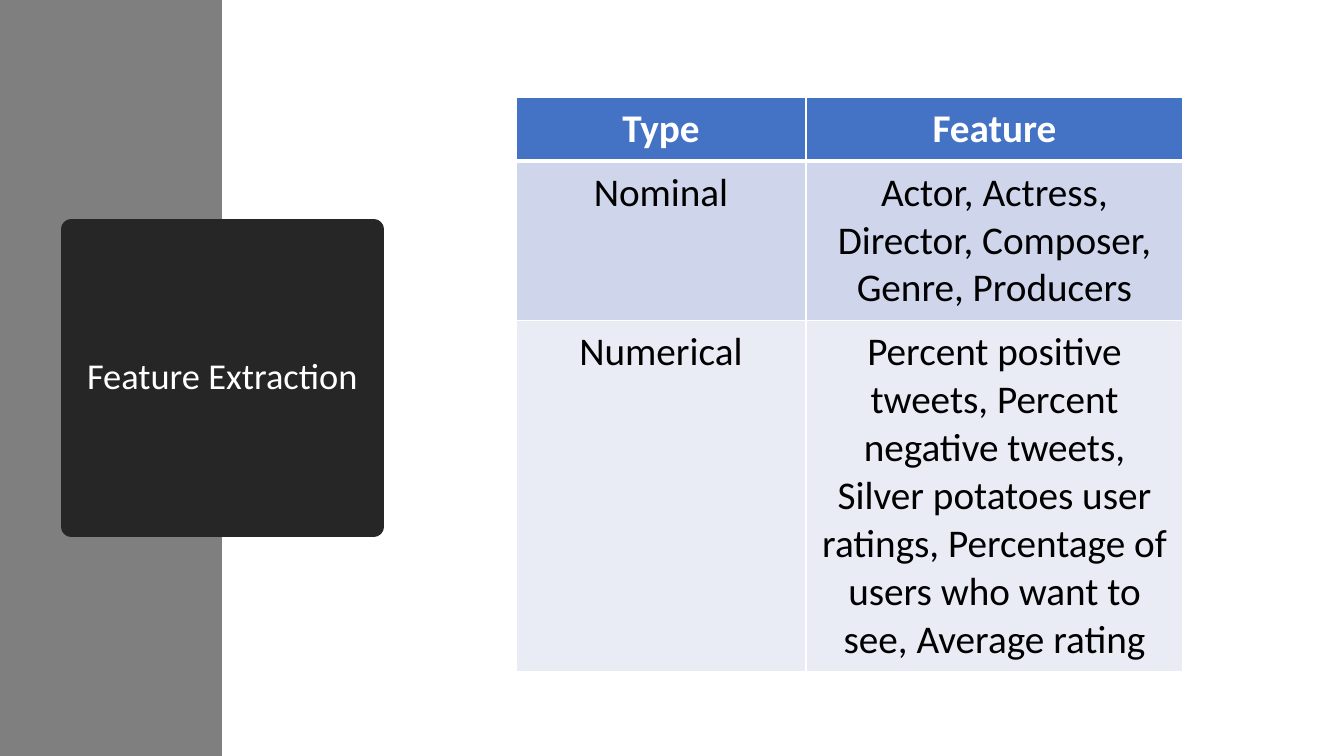
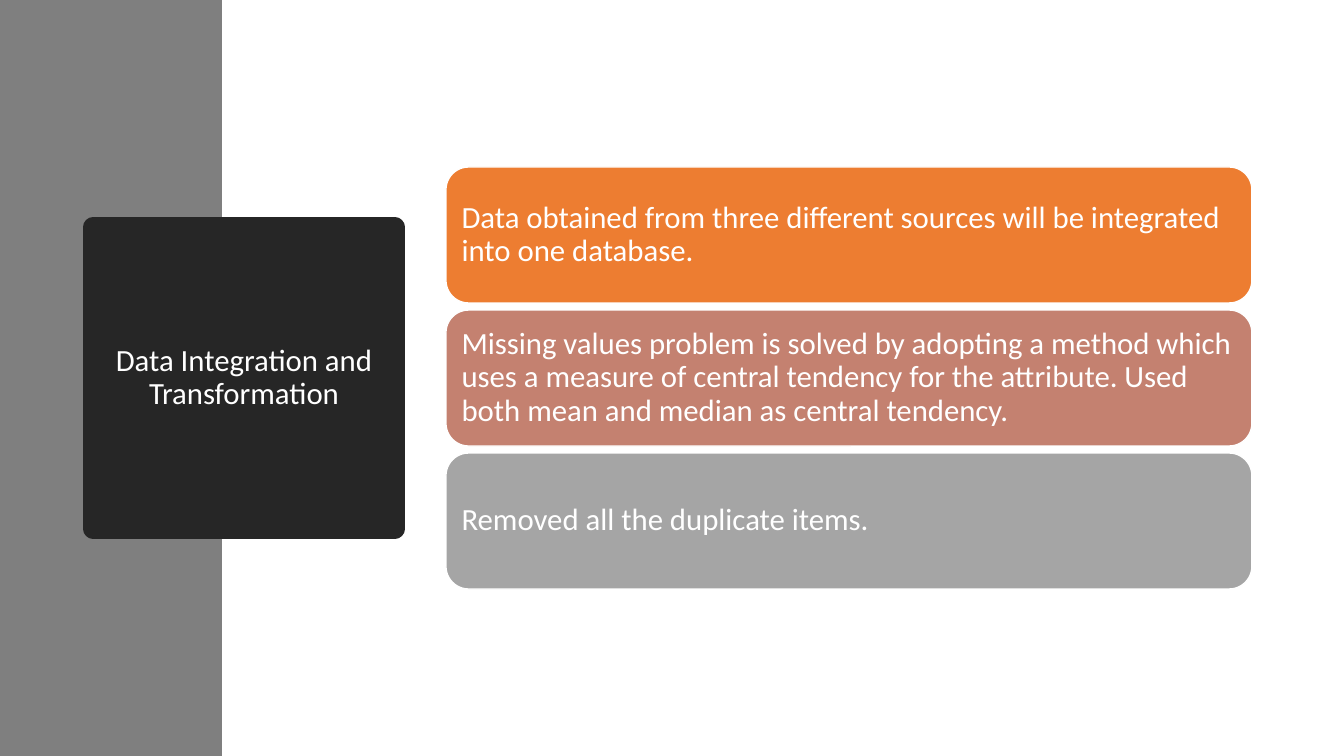
from pptx import Presentation
from pptx import util as u
from pptx.dml.color import RGBColor
from pptx.enum import shapes, text
from pptx.oxml import parse_xml
from pptx.oxml.ns import nsdecls

SCALE = 914400 / 100.8
FONT = "Calibri"
COLORS = {
    "band": "7F7F7F",
    "title": "262626",
    "white": "FFFFFF",
    "black": "000000",
    "header": "4472C4",
    "nominal": "CFD5EA",
    "numerical": "E9EBF5",
    "integrate": "ED7D31",
    "missing": "C48170",
    "duplicate": "A5A5A5",
}
TOPICS = [
    ("Feature Extraction", 26, (71, 229, 303, 298)),
    ("Data Integration and Transformation", 22, (93, 227, 302, 302)),
]
FEATURES = [
    ("header", 62, ("Type", "Feature")),
    ("nominal", 159, ("Nominal", "Actor, Actress, Director, Composer, Genre, Producers")),
    ("numerical", 351, ("Numerical",
                        "Percent positive tweets, Percent negative tweets, "
                        "Silver potatoes user ratings, Percentage of users "
                        "who want to see, Average rating")),
]
STEPS = [
    ("integrate", "Data obtained from three different sources will be integrated into one database."),
    ("missing", "Missing values problem is solved by adopting a method which uses a measure of "
                "central tendency for the attribute. Used both mean and median as central tendency."),
    ("duplicate", "Removed all the duplicate items."),
]


def px(*lengths):
    return [u.Emu(round(length * SCALE)) for length in lengths]


def write(frame, words, size, color, align, spacing=None, bold=False):
    paragraph = frame.paragraphs[0]
    paragraph.alignment = align
    if spacing:
        paragraph.line_spacing = spacing
    run = paragraph.add_run()
    run.text = words
    run.font.name = FONT
    run.font.size = u.Pt(size)
    run.font.bold = bold
    run.font.color.rgb = RGBColor.from_string(COLORS[color])


deck = Presentation()
deck.slide_width, deck.slide_height = px(1344, 756)

slides = []
for topic, size, place in TOPICS:
    slide = deck.slides.add_slide(deck.slide_layouts[5])
    slides.append(slide)

    band = slide.shapes.add_shape(shapes.MSO_SHAPE.RECTANGLE, *px(0, 0, 222, 756))
    band.shadow.inherit = False
    band.fill.solid()
    band.fill.fore_color.rgb = RGBColor.from_string(COLORS["band"])
    band.line.fill.background()
    slide.shapes._spTree.insert(2, band._element)

    title = slide.shapes.title
    title.left, title.top, title.width, title.height = px(*place)
    title.fill.solid()
    title.fill.fore_color.rgb = RGBColor.from_string(COLORS["title"])
    title.line.color.rgb = RGBColor.from_string(COLORS["title"])
    title.line.width = u.Pt(13.75)
    title.text_frame.auto_size = text.MSO_AUTO_SIZE.NONE
    title.text_frame.vertical_anchor = text.MSO_ANCHOR.MIDDLE
    write(title.text_frame, topic, size, "white", text.PP_ALIGN.CENTER, 0.9)

extraction, integration = slides

features = extraction.shapes.add_table(3, 2, *px(516, 97, 667, 572)).table
for column, width in zip(features.columns, px(290, 377)):
    column.width = width
for row, (kind, height, entries) in enumerate(FEATURES):
    features.rows[row].height = px(height)[0]
    heading = row == 0
    for col, entry in enumerate(entries):
        cell = features.cell(row, col)
        cell.margin_left, cell.margin_top, cell.margin_right, cell.margin_bottom = px(15, 8, 15, 8)
        cell.fill.solid()
        cell.fill.fore_color.rgb = RGBColor.from_string(COLORS[kind])
        write(cell.text_frame, entry, 28, "white" if heading else "black",
              text.PP_ALIGN.CENTER, bold=heading)
        borders = {"lnL": 1, "lnR": 1, "lnT": 3 if row == 1 else 1, "lnB": 3 if heading else 1}
        for index, (side, weight) in enumerate(borders.items()):
            cell._tc.get_or_add_tcPr().insert(index, parse_xml(
                f'<a:{side} {nsdecls("a")} w="{u.Pt(weight)}"><a:solidFill>'
                f'<a:srgbClr val="{COLORS["white"]}"/></a:solidFill></a:{side}>'))

for index, (kind, sentence) in enumerate(STEPS):
    step = integration.shapes.add_shape(
        shapes.MSO_SHAPE.ROUNDED_RECTANGLE, *px(446, 167 + 143 * index, 806, 136))
    step.shadow.inherit = False
    step.fill.solid()
    step.fill.fore_color.rgb = RGBColor.from_string(COLORS[kind])
    step.line.color.rgb = RGBColor.from_string(COLORS["white"])
    step.line.width = u.Pt(1)
    frame = step.text_frame
    frame.word_wrap = True
    frame.vertical_anchor = text.MSO_ANCHOR.MIDDLE
    frame.margin_left, frame.margin_top, frame.margin_right, frame.margin_bottom = px(9, 9, 9, 9)
    write(frame, sentence, 22, "white", text.PP_ALIGN.LEFT, 0.9)

deck.save("out.pptx")
